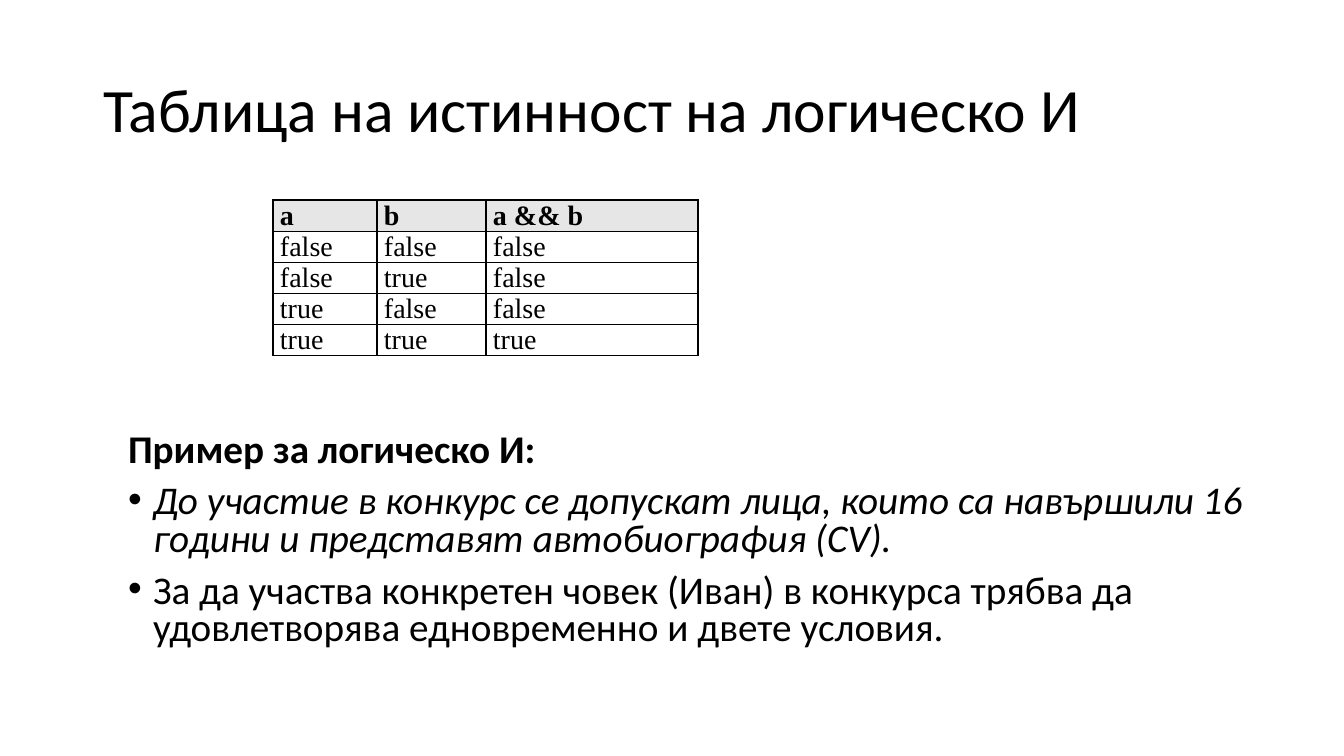
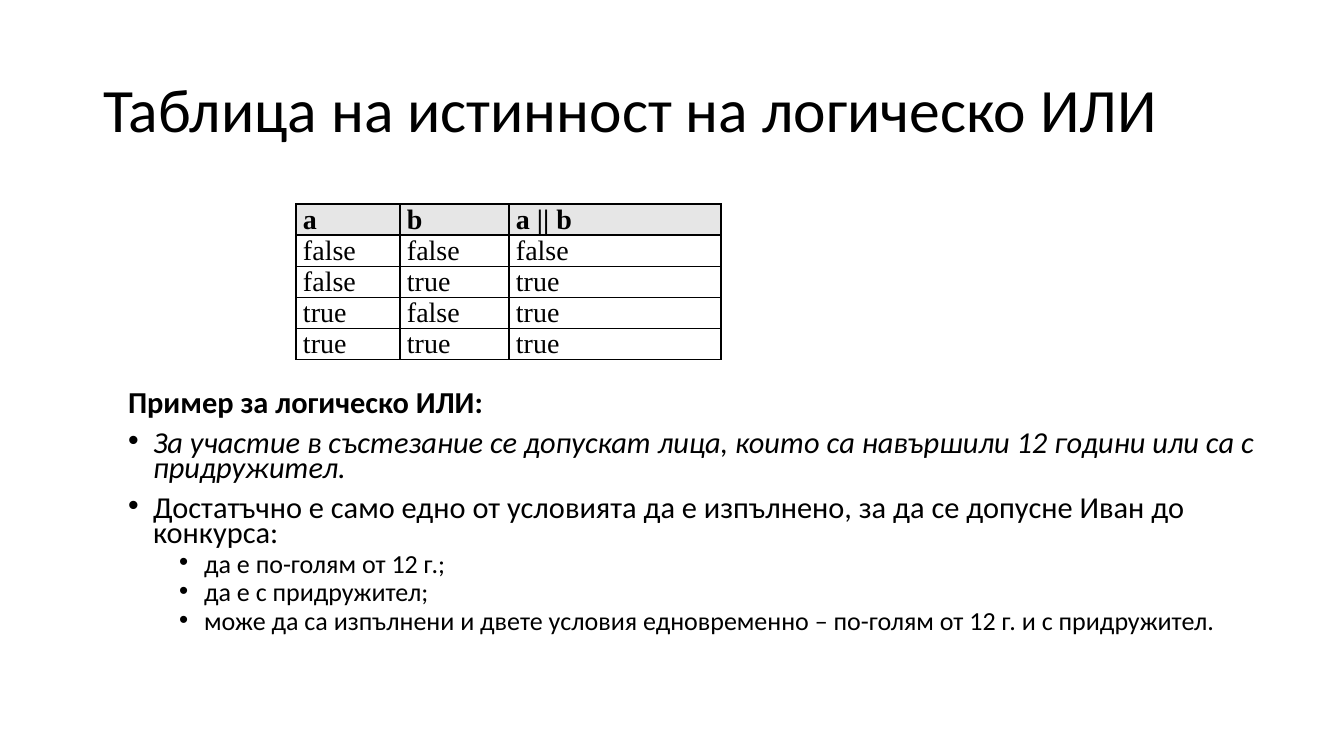
from itertools import product

from lxml.etree import SubElement
from pptx import Presentation
from pptx.dml.color import RGBColor
from pptx.enum.text import MSO_ANCHOR, MSO_AUTO_SIZE, PP_ALIGN
from pptx.oxml.ns import qn
from pptx.util import Emu, Pt

SLIDE_WIDTH, SLIDE_HEIGHT = 1344, 756
COLORS = {"text": "000000", "border": "000000", "header": "E6E6E6"}
TITLE_BOX = (93, 40, 1159, 146)
COLUMN_WIDTHS = (104, 109, 212)
ROW_HEIGHT = 31
CELL_MARGIN = 7
INDENT_STEP = 25
LEVEL_INDENTS = (25, 76)
LEVEL_SPACING = (10, 5)


def px(length):
    return Emu(round(length * 12192000 / SLIDE_WIDTH))


def set_font(paragraph, size, name="Calibri", bold=False, italic=False):
    font = paragraph.font
    font.name = name
    font.size = Pt(size)
    font.bold = bold
    font.italic = italic
    font.color.rgb = RGBColor.from_string(COLORS["text"])


def place(placeholder, box):
    placeholder.left, placeholder.top, placeholder.width, placeholder.height = map(px, box)
    frame = placeholder.text_frame
    frame.word_wrap = True
    frame.auto_size = MSO_AUTO_SIZE.NONE
    return frame


def set_bullet(paragraph, level, bulleted):
    properties = paragraph._p.get_or_add_pPr()
    indent = LEVEL_INDENTS[level] if bulleted else 0
    properties.set("marL", str(px(indent)))
    properties.set("indent", str(-px(INDENT_STEP) if bulleted else 0))
    if bulleted:
        SubElement(properties, qn("a:buFont"), typeface="Arial")
        SubElement(properties, qn("a:buChar"), char="•")
    else:
        SubElement(properties, qn("a:buNone"))


def add_title(slide, text):
    frame = place(slide.shapes.title, TITLE_BOX)
    frame.vertical_anchor = MSO_ANCHOR.MIDDLE
    heading = frame.paragraphs[0]
    heading.text = text
    heading.alignment = PP_ALIGN.LEFT
    heading.line_spacing = 0.9
    set_font(heading, 44)


def add_example(slide, box, heading, condition, explanation, cases, sizes, line_spacing):
    frame = place(slide.placeholders[1], box)
    lines = [(heading, 0, False, True, False),
             (condition, 0, True, False, True),
             (explanation, 0, True, False, False)]
    lines += [(case, 1, True, False, False) for case in cases]
    for index, (text, level, bulleted, bold, italic) in enumerate(lines):
        paragraph = frame.add_paragraph() if index else frame.paragraphs[0]
        paragraph.text = text
        paragraph.level = level
        paragraph.line_spacing = line_spacing
        paragraph.space_before = Pt(LEVEL_SPACING[level])
        set_bullet(paragraph, level, bulleted)
        set_font(paragraph, sizes[level], bold=bold, italic=italic)


def add_borders(cell):
    properties = cell._tc.get_or_add_tcPr()
    for side in ("lnL", "lnR", "lnT", "lnB"):
        line = SubElement(properties, qn(f"a:{side}"), w=str(Pt(1)))
        fill = SubElement(line, qn("a:solidFill"))
        SubElement(fill, qn("a:srgbClr"), val=COLORS["border"])


def style_cell(cell, text, is_header):
    cell.margin_left = cell.margin_right = px(CELL_MARGIN)
    cell.margin_top = cell.margin_bottom = 0
    add_borders(cell)
    if is_header:
        cell.fill.solid()
        cell.fill.fore_color.rgb = RGBColor.from_string(COLORS["header"])
    else:
        cell.fill.background()
    paragraph = cell.text_frame.paragraphs[0]
    paragraph.text = text
    paragraph.alignment = PP_ALIGN.JUSTIFY
    set_font(paragraph, 20, "Times New Roman", bold=is_header)


def add_truth_table(slide, left, top, expression, operation):
    rows = [("a", "b", expression)]
    for a, b in product((False, True), repeat=2):
        rows.append([str(value).lower() for value in (a, b, operation((a, b)))])
    table = slide.shapes.add_table(
        len(rows), len(COLUMN_WIDTHS), px(left), px(top),
        px(sum(COLUMN_WIDTHS)), px(ROW_HEIGHT * len(rows))).table
    table.horz_banding = False
    for column, width in zip(table.columns, COLUMN_WIDTHS):
        column.width = px(width)
    for row_index, values in enumerate(rows):
        for column_index, value in enumerate(values):
            style_cell(table.cell(row_index, column_index), value, row_index == 0)


def main():
    presentation = Presentation()
    presentation.slide_width = px(SLIDE_WIDTH)
    presentation.slide_height = px(SLIDE_HEIGHT)
    layout = presentation.slide_layouts[1]

    conjunction = presentation.slides.add_slide(layout)
    add_title(conjunction, "Таблица на истинност на логическо И")
    add_example(
        conjunction, (118, 428, 1159, 243),
        "Пример за логическо И:",
        "До участие в конкурс се допускат лица, които са навършили 16 години "
        "и представят автобиография (CV).",
        "За да участва конкретен човек (Иван) в конкурса трябва да "
        "удовлетворява едновременно и двете условия.",
        (), sizes=(28,), line_spacing=0.8)
    add_truth_table(conjunction, 273, 200, "a && b", all)

    disjunction = presentation.slides.add_slide(layout)
    add_title(disjunction, "Таблица на истинност на логическо ИЛИ")
    add_example(
        disjunction, (118, 388, 1159, 262),
        "Пример за логическо ИЛИ:",
        "За участие в състезание се допускат лица, които са навършили "
        "12 години или са с придружител.",
        "Достатъчно е само едно от условията да е изпълнено, "
        "за да се допусне Иван до конкурса:",
        ("да е по-голям от 12 г.;",
         "да е с придружител;",
         "може да са изпълнени и двете условия едновременно – "
         "по-голям от 12 г. и с придружител."),
        sizes=(21.7, 18.6), line_spacing=0.7)
    add_truth_table(disjunction, 296, 204, "a || b", any)

    presentation.save("out.pptx")


main()
